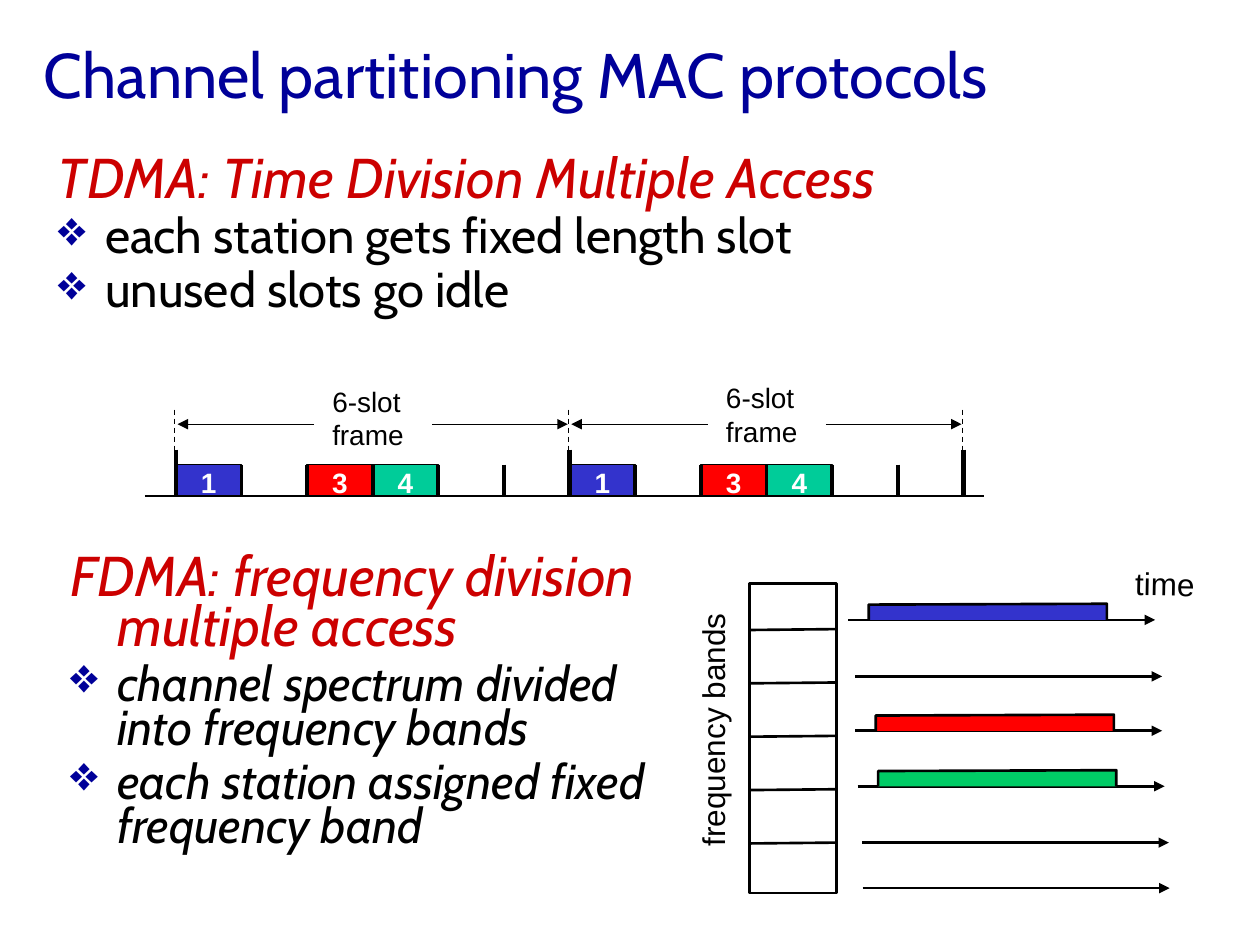
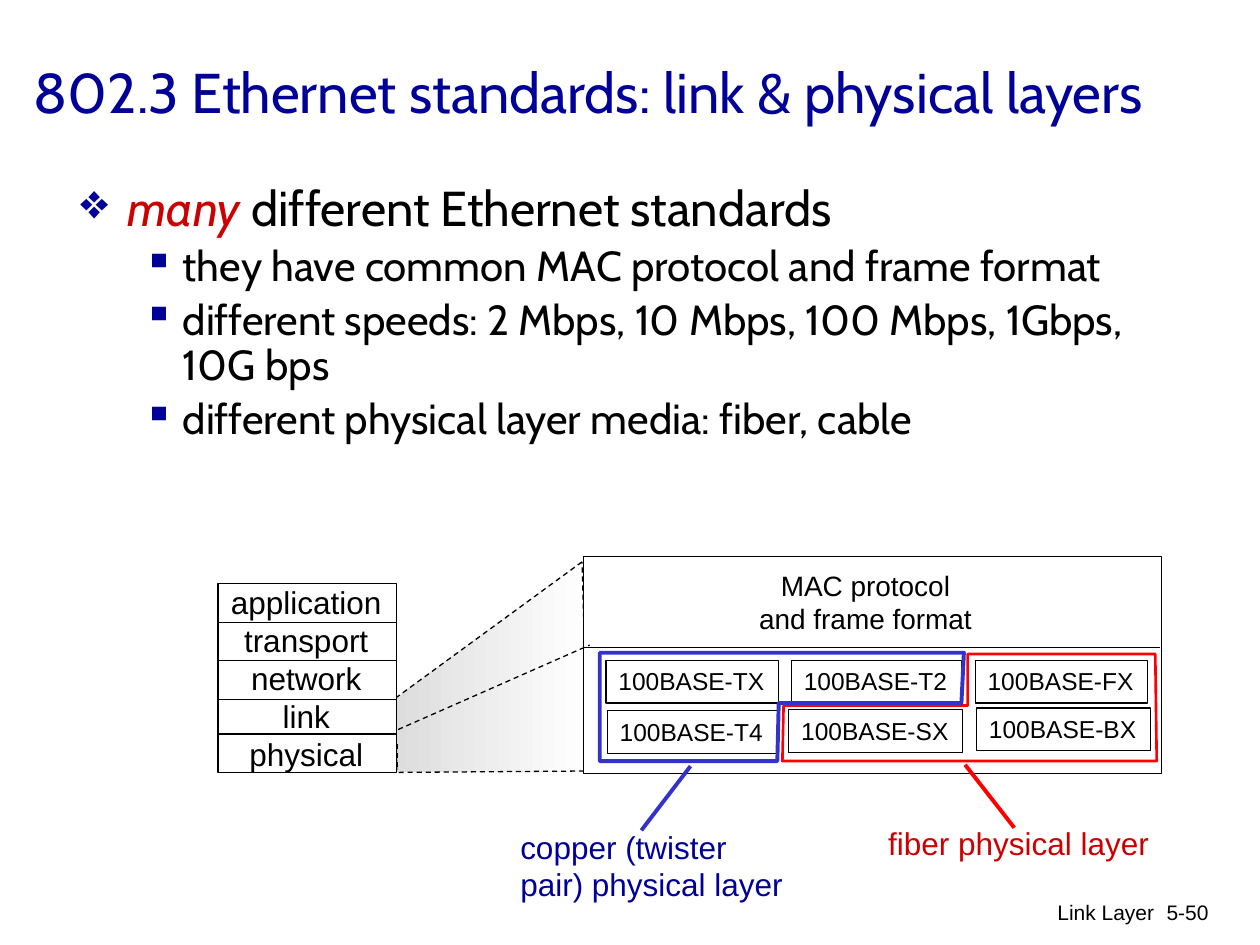
from lxml import etree
from pptx import Presentation
from pptx.dml.color import RGBColor
from pptx.enum import dml, shapes, text
from pptx.oxml import ns
from pptx.util import Pt

BLACK = RGBColor(0, 0, 0)
WHITE = RGBColor(255, 255, 255)
NAVY = RGBColor(0, 0, 0x99)
BLUE = RGBColor(0x33, 0x33, 0xCC)
CRIMSON = RGBColor(0xCC, 0, 0)
RED = RGBColor(255, 0, 0)
TEAL = RGBColor(0, 0xCC, 0x99)
GREEN = RGBColor(0, 0xCC, 0x66)
GREY = RGBColor(0xDD, 0xDD, 0xDD)
MID = text.PP_ALIGN.CENTER
RIGHT = text.PP_ALIGN.RIGHT


def style(size, tint=BLACK, face="Arial", para=None, hang=None, **font):
    return {"tint": tint, "para": para or {}, "hang": hang,
            "font": {"name": face, "size": Pt(size), **font}}


def draw(page, kind, pts, tint=BLACK, width=0.75, fill=None, dash=False,
         tip=False, close=False, rows=(), wrap=False, turn=0, mid=False):
    pts = [(Pt(x), Pt(y)) for x, y in pts]
    if kind == "line":
        item = page.shapes.add_connector(
            shapes.MSO_CONNECTOR.STRAIGHT, *pts[0], *pts[1])
        etree.SubElement(item._element.spPr, ns.qn("a:effectLst"))
    elif kind == "free":
        pen = page.shapes.build_freeform(*pts[0], scale=1.0)
        pen.add_line_segments(pts[1:], close=close)
        item = pen.convert_to_shape()
    elif kind == "rect":
        item = page.shapes.add_shape(shapes.MSO_SHAPE.RECTANGLE, *pts[0], *pts[1])
    else:
        item = page.shapes.add_textbox(*pts[0], *pts[1])
        item.rotation = turn
    if kind in ("rect", "free"):
        item.shadow.inherit = False
        if fill is None:
            item.fill.background()
        else:
            item.fill.solid()
            item.fill.fore_color.rgb = fill
    if kind != "text":
        item.line.color.rgb = tint
        item.line.width = Pt(width)
        if dash:
            item.line.dash_style = dml.MSO_LINE.DASH
        if tip:
            end = etree.SubElement(item.line._get_or_add_ln(), ns.qn("a:tailEnd"))
            end.set("type", "triangle")
    if not rows:
        return item
    body = item.text_frame
    body.word_wrap = wrap
    body.vertical_anchor = text.MSO_ANCHOR.MIDDLE if mid else text.MSO_ANCHOR.TOP
    for n, (form, *runs) in enumerate(rows):
        para = body.add_paragraph() if n else body.paragraphs[0]
        para.alignment = text.PP_ALIGN.LEFT
        for key, val in form["para"].items():
            setattr(para, key, val)
        if form["hang"]:
            left, back, mark = form["hang"]
            props = para._p.get_or_add_pPr()
            props.set("marL", str(Pt(left)))
            props.set("indent", str(-Pt(back)))
            if mark:
                hue = etree.SubElement(props, ns.qn("a:buClr"))
                etree.SubElement(hue, ns.qn("a:srgbClr")).set("val", str(NAVY))
                etree.SubElement(props, ns.qn("a:buChar")).set("char", mark)
        for words, look in runs:
            run = para.add_run()
            run.text = words
            look = look or form
            for key, val in look["font"].items():
                setattr(run.font, key, val)
            run.font.color.rgb = look["tint"]
    return item


deck = Presentation()
deck.slide_width, deck.slide_height = Pt(720), Pt(540)
blank = deck.slide_layouts[6]

tight = {"line_spacing": 0.75}
loose = {"line_spacing": 0.75, "space_before": Pt(5.6)}
head = style(32, CRIMSON, "Cabin", tight, (27, 27, None), italic=True)
item = style(28, BLACK, "Cabin", loose, (27, 27, "❖"))
slant = style(28, BLACK, "Cabin", loose, (27, 27, "❖"), italic=True)
plain = style(18)
small = style(16)
digit = style(16, WHITE, bold=True)

page = deck.slides.add_slide(blank)
draw(page, "text", [(18, -3), (680, 90)], wrap=True, mid=True, rows=[
    (style(36, NAVY, "Cabin"), ("Channel partitioning MAC protocols", None))])
draw(page, "text", [(26, 87), (612, 106)], wrap=True, rows=[
    (head, ("TDMA: Time Division Multiple Access", None)),
    (item, ("each station gets fixed length slot", None)),
    (item, ("unused slots go idle", None))])

left, step, top, base = 100.5, 37.5, 265.5, 283.5
draw(page, "line", [(82.8, base), (562.3, base)])
for frame in range(2):
    start = left + 6 * step * frame
    for slot, fill in ((1, BLUE), (3, RED), (4, TEAL)):
        x = start + (slot - 1) * step
        draw(page, "rect", [(x, top), (step, base - top)], fill=fill)
        draw(page, "text", [(x + 7.2, 262.4), (23, 26.6)],
             rows=[(digit, (str(slot), None))])
    draw(page, "text", [(start + 82.3, 216 - 2 * frame), (55.4, 46)],
         rows=[(small, ("6-slot", None)), (small, ("frame", None))])
    for near, far in ((146.5, 224), (79, 1)):
        draw(page, "line", [(start + near, 242.4), (start + far, 242.4)], tip=True)
for n in range(13):
    x = left + n * step
    if n % 6:
        draw(page, "line", [(x, top), (x, base)], width=2.25)
    else:
        draw(page, "line", [(x, 257), (x, base)], width=3 if n else 2.25)
        draw(page, "line", [(x - 0.6, 234), (x - 0.6, 258)], dash=True)

draw(page, "text", [(33, 314), (359.3, 181)], wrap=True, rows=[
    (head, ("FDMA: frequency division multiple access", None)),
    (slant, ("channel spectrum divided into frequency bands", None)),
    (slant, ("each station assigned fixed frequency band", None))])
draw(page, "rect", [(428.4, 333.4), (49.5, 177)], width=1.5, fill=WHITE)
for n in range(5):
    y = 360 + 30.5 * n
    draw(page, "line", [(428.2, y), (477.7, y - 0.5)], width=1.5)
for x, y, fill in ((484.7, 354.2, BLUE), (488.7, 386.5, None),
                   (488.7, 417.6, RED), (490.1, 449.3, GREEN),
                   (492.6, 481.5, None), (493, 507.5, None)):
    draw(page, "line", [(x, y), (x + 175.4, y)], width=1.5, tip=True)
    if fill:
        near, far = x + 11.7, x + 147.8
        draw(page, "free", [(near, y), (near, y - 8.7), (far, y - 9.2), (far, y)],
             width=1.5, fill=fill)
draw(page, "text", [(333.4, 402.5), (147.6, 28.8)], turn=270,
     rows=[(plain, ("frequency bands", None))])
draw(page, "text", [(641.5, 319), (48.2, 28.8)], turn=1.1,
     rows=[(plain, ("time", None))])

page = deck.slides.add_slide(blank)
foot = style(12, para={"alignment": RIGHT})
for x, wide, words in ((438.5, 228.2, "Link Layer"), (644.4, 53.3, "5-50")):
    draw(page, "text", [(x, 510.5), (wide, 36)], wrap=True,
         rows=[(foot, (words, None))])
draw(page, "text", [(12.2, 7.2), (686.2, 90)], wrap=True, mid=True, rows=[
    (style(32, NAVY, "Cabin"),
     ("802.3 Ethernet standards: link & physical layers", None))])
lead = style(28, BLACK, "Cabin", {"line_spacing": 0.9}, (27, 27, "❖"))
sub = style(24, BLACK, "Cabin",
            {"level": 1, "line_spacing": 0.9, "space_before": Pt(4.8)},
            (58.5, 22.5, "▪"))
many = style(28, CRIMSON, "Cabin", italic=True)
draw(page, "text", [(38.9, 101.5), (612, 165.6)], wrap=True, rows=[
    (lead, ("many ", many), ("different Ethernet standards", None)),
    (sub, ("they have common MAC protocol and frame format", None)),
    (sub, ("different speeds: 2 Mbps, 10 Mbps, 100 Mbps, 1Gbps, 10G bps", None)),
    (sub, ("different physical layer media: fiber, cable", None))])

fan = draw(page, "free", [(332.6, 321.1), (226.1, 398.9), (226.8, 441.4),
                          (336.2, 440.6)], fill=WHITE, dash=True, close=True)
fan.fill.gradient()
fan.fill.gradient_angle = 0
for stop, tint in zip(fan.fill.gradient_stops, (GREY, WHITE)):
    stop.color.rgb = tint

core = style(18, para={"alignment": MID})
draw(page, "rect", [(124.6, 333.4), (102.2, 108)], fill=WHITE)
draw(page, "text", [(124.6, 329.8), (100.8, 115.2)], wrap=True, rows=[
    (core, (words, None)) for words in
    ("application", "transport", "network", "link", "physical")])
for y in (355.7, 377.3, 399.6, 419.4):
    draw(page, "line", [(124.6, y), (226.6, y)])
for x in (124.6, 226.8):
    draw(page, "line", [(x, 425), (x, 438.5)], dash=True)

draw(page, "rect", [(333.4, 318.2), (330.5, 123.8)], fill=WHITE)
draw(page, "line", [(334, 370.1), (663.1, 370.1)])
label = style(16, para={"alignment": MID})
draw(page, "text", [(426.2, 321.1), (136.8, 46.1)], rows=[
    (label, ("MAC protocol", None)), (label, ("and frame format", None))])
draw(page, "line", [(227.5, 416.9), (337, 368.6)], dash=True)
cell = style(14)
for x, y, wide, tail in ((346.3, 377.3, 98.6, "TX"), (347, 406.1, 97.2, "T4"),
                         (557.3, 377.3, 98.6, "FX"), (452.2, 377.3, 97.2, "T2"),
                         (450.7, 405.4, 99.4, "SX"), (558, 404.6, 99.4, "BX")):
    draw(page, "rect", [(x, y), (wide, 24.5)],
         rows=[(cell, ("100BASE-" + tail, None))])

fiber = [(553, 373.7), (553, 403.2), (447.8, 403.2), (447.1, 434.9),
         (661, 434.9), (660.2, 373.7)]
copper = [(550.8, 373), (549.4, 401.8), (445, 401.8), (444.2, 434.9),
          (342.7, 434.9), (342.7, 373)]
for edge, tint, width, stem, box, ink, rows in (
        (fiber, RED, 1.5, [(551.5, 437), (579.6, 473)],
         [(500.4, 467.3), (164.9, 28.8)], CRIMSON, ["fiber physical layer"]),
        (copper, BLUE, 2.25, [(394.6, 437.8), (366.5, 474.5)],
         [(290.2, 469.4), (166.3, 51.1)], NAVY,
         ["copper (twister", "pair) physical layer"])):
    draw(page, "free", edge, tint, width, close=True)
    draw(page, "line", stem, tint, 2.25)
    draw(page, "text", box, rows=[(style(18, ink), (words, None)) for words in rows])

deck.save("out.pptx")
